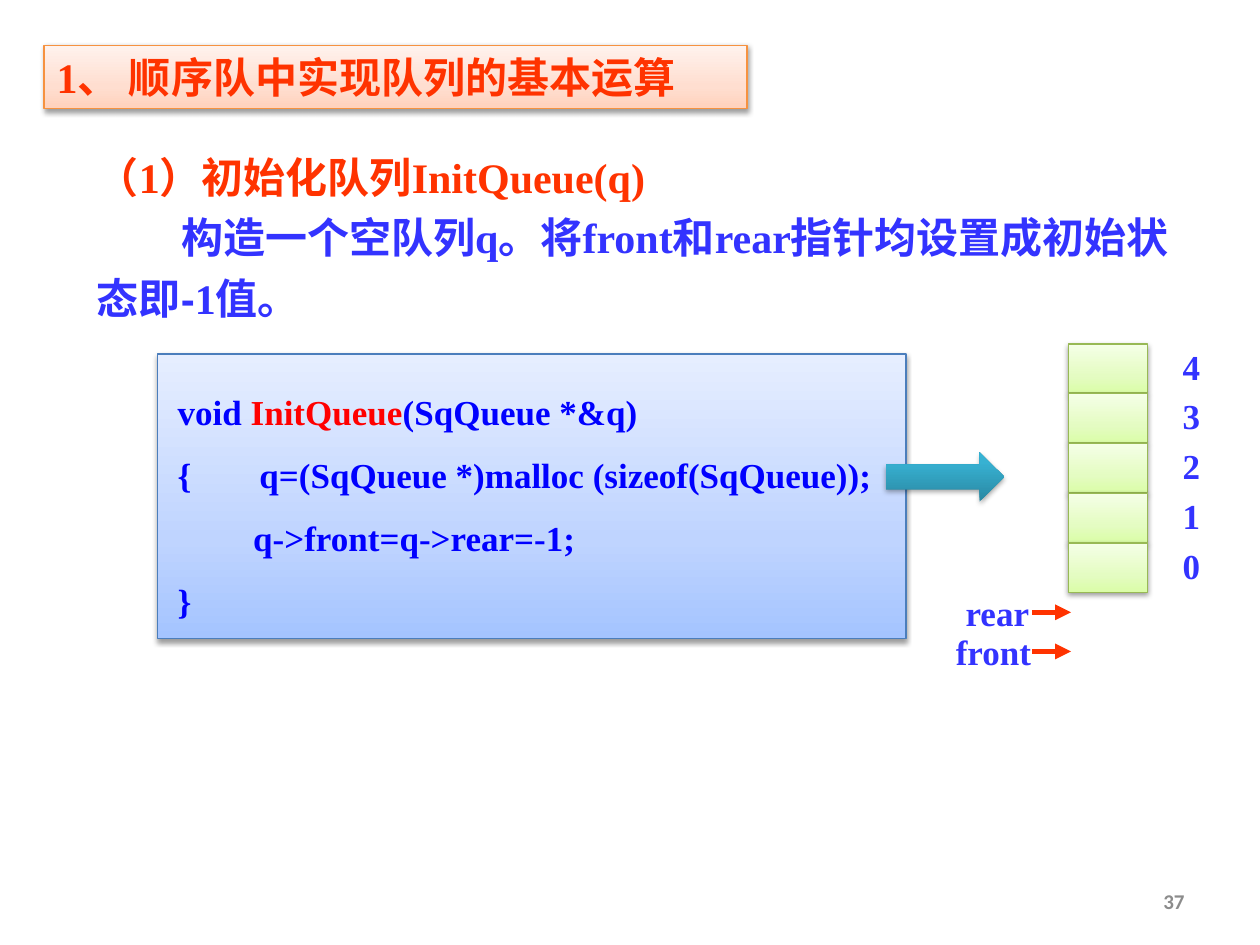
from lxml import etree
from pptx import Presentation
from pptx.dml.color import RGBColor
from pptx.enum import shapes, text
from pptx.oxml import parse_xml
from pptx.oxml.ns import nsdecls, qn
from pptx.util import Inches, Pt

SERIF = "Times New Roman"
RED, BLUE, CODE_BLUE = "FF3300", "3333FF", "0000FF"
ORANGE_FADE = [(0, "FFD2BD"), (35, "FFDED0"), (100, "FFF2ED")]
BLUE_FADE = [(0, "A4C4FF"), (35, "BFD4FF"), (100, "E6EEFF")]
GREEN_FADE = [(0, "DAFDA7"), (35, "E4FCC2"), (100, "F5FFE7")]
TEAL_FADE = [(0, "2A88A2"), (80, "37B1D2"), (100, "34B4D6")]

# A paragraph is (left margin, first-line indent, runs); a run is (words, colour[, font]).
HEADING = [(0, 0, [("1、 顺序队中实现队列的基本运算", RED)])]
INTRO = [
    (0, 0, [("（1）初始化队列InitQueue(q)", RED)]),
    (0, 0.67, [("构造一个空队列q。将front和rear指针均设置成初始状态即", BLUE),
               ("-", BLUE, "Arial"), ("1值。", BLUE)]),
]
CODE = [
    (0, 0, [("void ", CODE_BLUE), ("InitQueue", "FF0000"), ("(SqQueue *&q)", CODE_BLUE)]),
    (0.65, -0.65, [("{\tq=(SqQueue *)malloc (sizeof(SqQueue));", CODE_BLUE)]),
    (0.6, 0, [("q->front=q->rear=-1;", CODE_BLUE)]),
    (0, 0, [("}", CODE_BLUE)]),
]
CELLS = ["4", "3", "2", "1", "0"]
CELL_TOP, CELL_PITCH = 2.73, 0.395
POINTERS = [("rear", 7.52, 0.79, 4.86), ("front", 7.41, 0.95, 5.17)]

deck = Presentation()
deck.slide_width, deck.slide_height = Inches(10), Inches(7.5)
slide = deck.slides.add_slide(deck.slide_layouts[6])


def rgb(value):
    """Turn a hex string into a colour."""
    return RGBColor.from_string(value)


def write(part, paragraphs, size, spacing=None, align=text.PP_ALIGN.LEFT,
          anchor=text.MSO_ANCHOR.TOP, bold=True, font=SERIF, inset=(0.1, 0.05)):
    """Fill a shape or text box with formatted paragraphs."""
    frame = part.text_frame
    frame.word_wrap, frame.vertical_anchor = True, anchor
    frame.margin_left = frame.margin_right = Inches(inset[0])
    frame.margin_top = frame.margin_bottom = Inches(inset[1])
    for index, (margin, indent, runs) in enumerate(paragraphs):
        line = frame.add_paragraph() if index else frame.paragraphs[0]
        line.alignment = align
        if spacing:
            line.line_spacing = spacing
        properties = line._p.get_or_add_pPr()
        properties.set("marL", str(Inches(margin)))
        properties.set("indent", str(Inches(indent)))
        for words, colour, *other_font in runs:
            run = line.add_run()
            run.text = words
            run.font.size, run.font.bold = Pt(size), bold
            run.font.name = other_font[0] if other_font else font
            run.font.color.rgb = rgb(colour)


def add_text(box, paragraphs, size, **options):
    """Add a text box at (left, top, width, height)."""
    write(slide.shapes.add_textbox(*map(Inches, box)), paragraphs, size, **options)


def add_label(box, words):
    """Add a centred blue label."""
    add_text(box, [(0, 0, [(words, BLUE)])], 20, align=text.PP_ALIGN.CENTER)


def add_block(box, fade, border=None, kind=shapes.MSO_SHAPE.RECTANGLE, shade=38):
    """Add a shape with an upward gradient and a soft shadow."""
    block = slide.shapes.add_shape(kind, *map(Inches, box))
    block.shadow.inherit = False
    if border:
        block.line.color.rgb, block.line.width = rgb(border), Pt(0.75)
    else:
        block.line.fill.background()
    stops = "".join(f'<a:gs pos="{at * 1000}"><a:srgbClr val="{colour}"/></a:gs>'
                    for at, colour in fade)
    properties = block._element.spPr
    properties.find(qn("a:prstGeom")).addnext(parse_xml(
        f'<a:gradFill {nsdecls("a")} rotWithShape="1"><a:gsLst>{stops}</a:gsLst>'
        '<a:lin ang="16200000" scaled="0"/></a:gradFill>'))
    properties.find(qn("a:effectLst")).append(parse_xml(
        f'<a:outerShdw {nsdecls("a")} blurRad="{Pt(3.1)}" dist="{Pt(1.6)}" dir="5400000" '
        f'rotWithShape="0"><a:srgbClr val="000000"><a:alpha val="{shade * 1000}"/>'
        '</a:srgbClr></a:outerShdw>'))
    return block


def add_pointer(left, right, y):
    """Add a thick red arrow pointing right."""
    arrow = slide.shapes.add_connector(
        shapes.MSO_CONNECTOR.STRAIGHT, *map(Inches, (left, y, right, y)))
    arrow.line.color.rgb, arrow.line.width = rgb(RED), Pt(3)
    etree.SubElement(arrow.line._get_or_add_ln(), qn("a:tailEnd"), type="triangle")
    etree.SubElement(arrow._element.spPr, qn("a:effectLst"))


write(add_block((0.35, 0.36, 5.58, 0.5), ORANGE_FADE, "F69240"), HEADING, 24)
add_text((0.67, 1.07, 8.86, 1.56), INTRO, 24, spacing=1.2)
write(add_block((1.25, 2.81, 5.94, 2.26), BLUE_FADE, "4B7EBC"), CODE, 20,
      spacing=1.5, inset=(0.16, 0.12))

for row, number in enumerate(CELLS):
    top = CELL_TOP + row * CELL_PITCH
    add_block((8.48, top, 0.63, 0.39), GREEN_FADE, "98B955")
    add_label((9.22, top - 0.04, 0.47, 0.43), number)

for name, left, width, y in POINTERS:
    add_pointer(8.19, 8.5, y)
    add_label((left, y - 0.215, width, 0.43), name)

add_block((7.03, 3.59, 0.94, 0.39), TEAL_FADE, kind=shapes.MSO_SHAPE.RIGHT_ARROW, shade=35)
add_text((7.17, 6.95, 2.33, 0.4), [(0, 0, [("37", "8C8C8C")])], 12, font="Calibri",
         align=text.PP_ALIGN.RIGHT, anchor=text.MSO_ANCHOR.MIDDLE)

deck.save("out.pptx")
